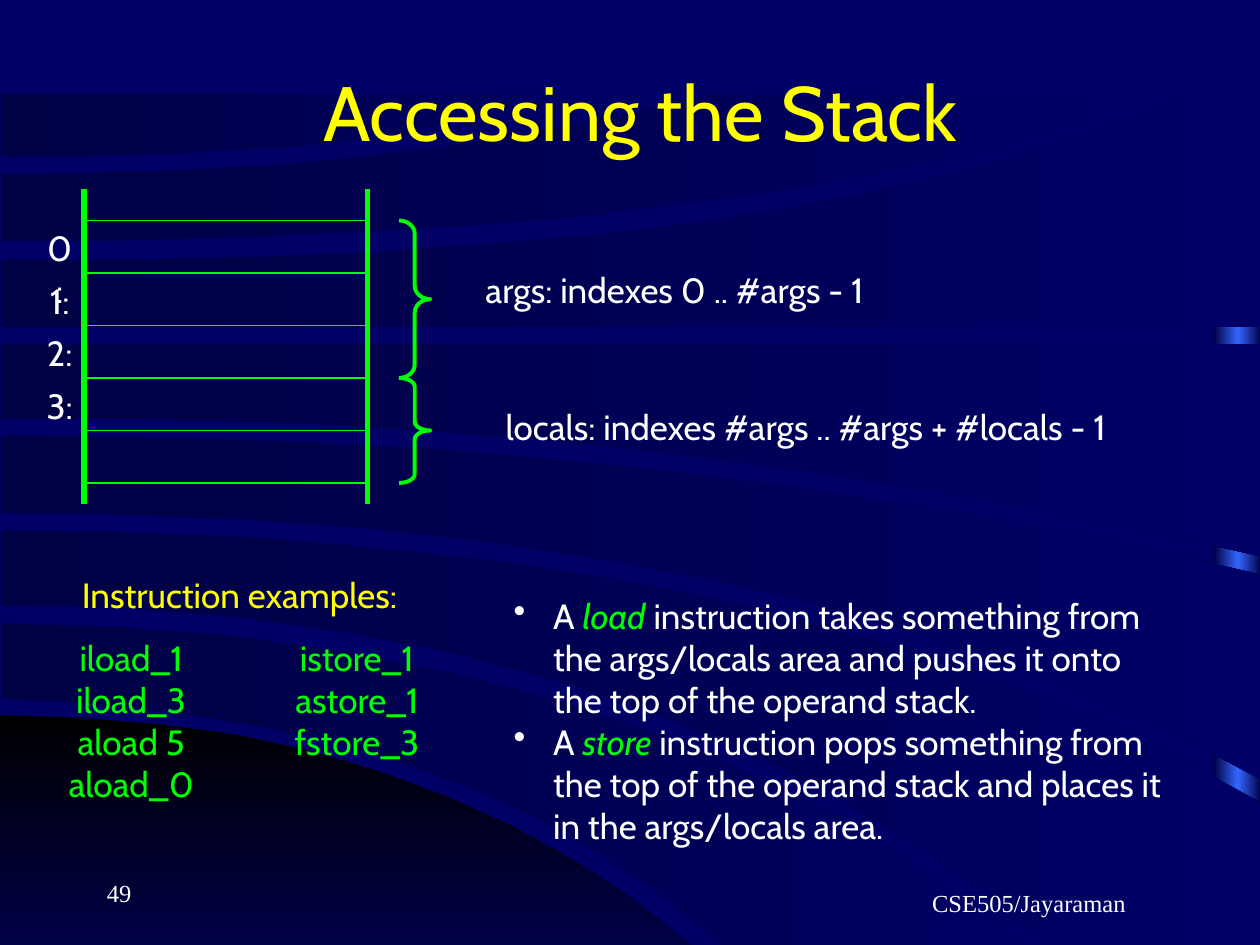
"""Build the slide on reaching arguments and locals in the stack frame."""
from copy import deepcopy
from dataclasses import dataclass

from lxml import etree
from pptx import Presentation
from pptx.dml.color import RGBColor
from pptx.enum import shapes, text
from pptx.oxml.ns import qn
from pptx import util as u

PX = 9525
COLOURS = {"navy": "000066", "deep": "000044", "black": "000000", "blue": "3366FF",
           "green": "00FF00", "yellow": "FFFF00", "white": "FFFFFF"}
ALIGN, ANCHOR = text.PP_ALIGN, text.MSO_ANCHOR
LEFT_RAIL, RIGHT_RAIL, STACK_TOP, STACK_BOTTOM = 64, 280, 144, 384
FIRST_ROW, ROW_HEIGHT, BRACE_LEFT, BRACE_WIDTH = 168, 40, 304, 24
CURVE_STEPS = 12
Point = tuple[int, int]


@dataclass(frozen=True)
class Curve:
    start: Point
    middle: Point
    end: Point

    def points(self) -> list[Point]:
        """Sample the parabola through the three points."""
        samples = []
        for step in range(CURVE_STEPS + 1):
            t = step / CURVE_STEPS
            weights = (1 - t) * (1 - 2 * t), 4 * t * (1 - t), t * (2 * t - 1)
            samples.append(tuple(
                round(sum(weight * value for weight, value in zip(weights, values)))
                for values in zip(self.start, self.middle, self.end)))
        return samples


@dataclass(frozen=True)
class Band:
    upper: Curve | None = None
    lower: Curve | None = None
    corners: tuple[Point, ...] = ()
    colours: tuple[str, ...] = ("deep", "navy")
    angle: int = 0

    def outline(self) -> list[Point]:
        """Return the points around the band."""
        there = self.upper.points() if self.upper else []
        back = self.lower.points()[::-1] if self.lower else []
        return [*there, *self.corners, *back]


@dataclass(frozen=True)
class Label:
    left: int
    top: int
    width: int
    height: int
    lines: tuple[str, ...]
    colour: str = "white"
    size: int = 20
    font: str = "Cabin"
    align: ALIGN = ALIGN.CENTER
    anchor: ANCHOR = ANCHOR.TOP
    wrap: bool = False


@dataclass(frozen=True)
class Brace:
    first_row: int
    rows: int


BANDS = (
    Band(corners=((925, 74), (961, 74), (961, 794), (925, 794)),
         colours=("deep", "blue", "deep")),
    Band(Curve((0, 545), (340, 607), (604, 794)), corners=((0, 794),),
         colours=("black", "navy"), angle=270),
    Band(Curve((1, 475), (495, 557), (858, 792)), Curve((1, 532), (365, 603), (617, 792))),
    Band(Curve((1, 404), (548, 457), (961, 612)), Curve((1, 461), (500, 544), (874, 792)),
         ((961, 792),)),
    Band(Curve((1, 332), (500, 358), (961, 438)), Curve((1, 391), (540, 441), (961, 594))),
    Band(lower=Curve((1, 319), (483, 342), (961, 424)), corners=((1, 262), (961, 262))),
    Band(Curve((1, 198), (533, 169), (906, 72)),
         corners=((961, 72), (961, 249), (1, 249))),
    Band(Curve((1, 133), (297, 117), (535, 72)), Curve((1, 184), (524, 155), (881, 72))),
    Band(lower=Curve((1, 119), (260, 108), (482, 72)), corners=((1, 72),)),
)
BRACES = (Brace(0, 3), Brace(3, 2))
LABELS = (
    Label(80, 24, 816, 120, ("Accessing the Stack",), "yellow", 44,
          anchor=ANCHOR.MIDDLE, wrap=True),
    Label(341, 200, 346, 42, ("args: indexes 0 .. #args - 1",)),
    Label(346, 304, 536, 42, ("locals: indexes #args .. #args + #locals - 1",)),
    Label(37, 432, 291, 42, ("Instruction examples:",), "yellow"),
    Label(41, 480, 118, 138, ("iload_1", "iload_3", "aload 5", "aload_0"), "green"),
    Label(209, 480, 126, 106, ("istore_1", "astore_1", "fstore_3"), "green"),
    Label(72, 648, 200, 48, ("49",), size=14, font="Times New Roman",
          align=ALIGN.LEFT, anchor=ANCHOR.BOTTOM, wrap=True),
    Label(632, 656, 304, 48, ("CSE505/Jayaraman",), size=14, font="Times New Roman",
          anchor=ANCHOR.BOTTOM, wrap=True),
    *(Label(25, FIRST_ROW + row * ROW_HEIGHT, 41, 42, (f"{row}:",)) for row in range(4)),
)
NOTES = Label(376, 448, 528, 202, (), align=ALIGN.LEFT, wrap=True)
INSTRUCTIONS = (
    ("load", " instruction takes something from the args/locals area and pushes it "
             "onto the top of the operand stack."),
    ("store", " instruction pops something from the top of the operand stack and "
              "places it in the args/locals area."),
)


def colour(name: str) -> RGBColor:
    """Return a named colour."""
    return RGBColor.from_string(COLOURS[name])


def draw_band(page, band: Band) -> None:
    """Draw one gradient area of the backdrop."""
    first, *others = band.outline()
    builder = page.shapes.build_freeform(*first, scale=PX)
    builder.add_line_segments(others, close=True)
    area = builder.convert_to_shape()
    area.shadow.inherit = False
    area.line.fill.background()
    area.fill.gradient()
    area.fill.gradient_angle = band.angle
    stop_list = area._element.spPr.find(qn("a:gradFill")).find(qn("a:gsLst"))
    for _ in band.colours[2:]:
        stop_list.append(deepcopy(stop_list[-1]))
    for index, (stop, name) in enumerate(zip(area.fill.gradient_stops, band.colours)):
        stop.position = index / (len(band.colours) - 1)
        stop.color.rgb = colour(name)


def draw_line(page, start: Point, end: Point, width: float) -> None:
    """Draw one green line of the stack."""
    line = page.shapes.add_connector(
        shapes.MSO_CONNECTOR.STRAIGHT, *(value * PX for value in start + end))
    line.line.color.rgb = colour("green")
    line.line.width = u.Pt(width)
    etree.SubElement(line._element.spPr, qn("a:effectLst"))


def draw_brace(page, brace: Brace) -> None:
    """Draw a brace beside a run of stack rows."""
    top, height = FIRST_ROW + brace.first_row * ROW_HEIGHT, brace.rows * ROW_HEIGHT
    shape = page.shapes.add_shape(shapes.MSO_SHAPE.RIGHT_BRACE, BRACE_LEFT * PX, top * PX,
                                  BRACE_WIDTH * PX, height * PX)
    shape.adjustments[0] = height / 12 / BRACE_WIDTH
    shape.shadow.inherit = False
    shape.fill.background()
    shape.line.color.rgb = colour("green")
    shape.line.width = u.Pt(2.25)


def style_paragraph(para, label: Label) -> None:
    """Give a paragraph the look of its label."""
    para.alignment = label.align
    para.font.name = label.font
    para.font.size = u.Pt(label.size)
    para.font.color.rgb = colour(label.colour)


def add_frame(page, label: Label):
    """Add the text box of a label and return its frame."""
    box = page.shapes.add_textbox(
        *(value * PX for value in (label.left, label.top, label.width, label.height)))
    frame = box.text_frame
    frame.word_wrap = label.wrap
    frame.vertical_anchor = label.anchor
    return frame


def draw_label(page, label: Label) -> None:
    """Draw a label with one paragraph a line."""
    frame = add_frame(page, label)
    frame.text = "\n".join(label.lines)
    for para in frame.paragraphs:
        style_paragraph(para, label)


def draw_notes(page) -> None:
    """Draw the bulleted notes on the two instructions."""
    frame = add_frame(page, NOTES)
    for index, (keyword, meaning) in enumerate(INSTRUCTIONS):
        para = frame.add_paragraph() if index else frame.paragraphs[0]
        properties = para._p.get_or_add_pPr()
        properties.set("marL", str(36 * PX))
        properties.set("indent", str(-30 * PX))
        etree.SubElement(properties, qn("a:buChar"), char="•")
        style_paragraph(para, NOTES)
        for wording in ("A ", keyword, meaning):
            span = para.add_run()
            span.text = wording
            if wording == keyword:
                span.font.italic = True
                span.font.color.rgb = colour("green")


def main() -> None:
    """Build and save the deck."""
    deck = Presentation()
    deck.slide_width, deck.slide_height = 960 * PX, 720 * PX
    page = deck.slides.add_slide(deck.slide_layouts[6])
    page.background.fill.solid()
    page.background.fill.fore_color.rgb = colour("navy")
    for band in BANDS:
        draw_band(page, band)
    for row in range(6):
        height = FIRST_ROW + row * ROW_HEIGHT
        draw_line(page, (LEFT_RAIL, height), (RIGHT_RAIL, height), 0.75)
    for rail in (LEFT_RAIL, RIGHT_RAIL):
        draw_line(page, (rail, STACK_TOP), (rail, STACK_BOTTOM), 3)
    for brace in BRACES:
        draw_brace(page, brace)
    for label in LABELS:
        draw_label(page, label)
    draw_notes(page)
    deck.save("out.pptx")


if __name__ == "__main__":
    main()
